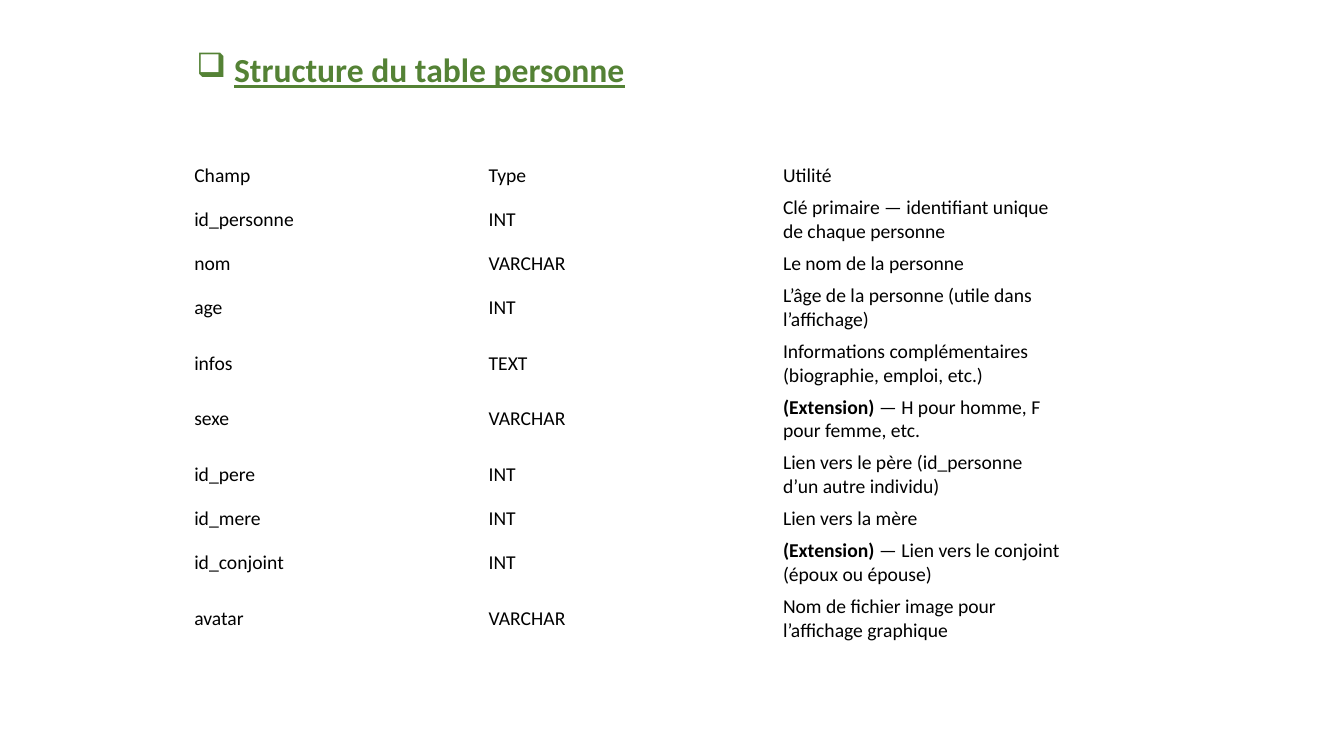
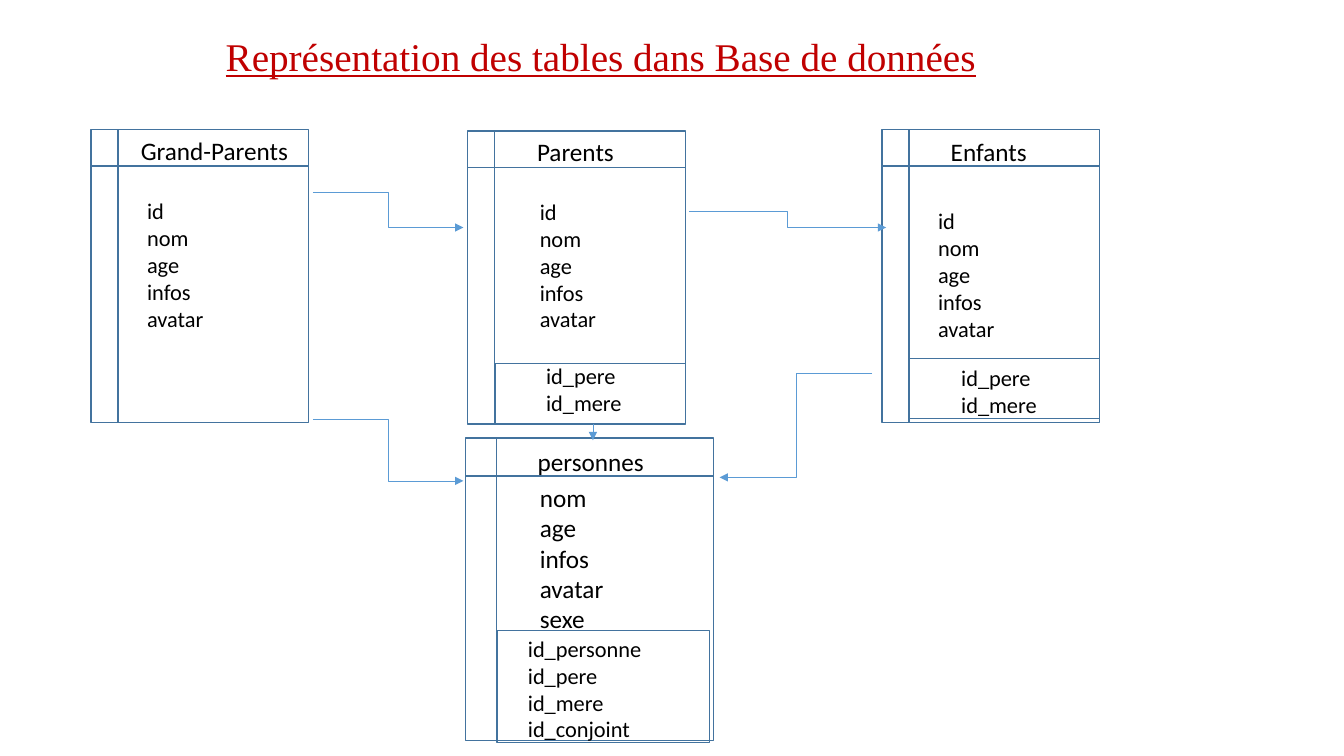
from dataclasses import dataclass
from pptx import Presentation
from pptx.util import Pt
from pptx.dml.color import RGBColor
from pptx.enum import shapes as sh, text as tx
from pptx.oxml import ns, xmlchemy as xc


@dataclass(frozen=True)
class Theme:
    ink: str = "000000"
    green: str = "548235"
    red: str = "C00000"
    edge: str = "43739E"
    link: str = "5B9BD5"
    sans: str = "Calibri"
    serif: str = "Times New Roman"
    cell: int = 14
    field: int = 16
    name: int = 18
    head: int = 24
    top: int = 28


T = Theme()


class Deck:
    def __init__(self):
        self.prs = Presentation()
        self.prs.slide_width, self.prs.slide_height = Pt(960), Pt(540)
        self.slide = None

    def page(self):
        self.slide = self.prs.slides.add_slide(self.prs.slide_layouts[5])

    def style(self, para, size, color=T.ink, face=T.sans, bold=False, under=False):
        for run in para.runs:
            font = run.font
            font.size, font.name = Pt(size), face
            font.bold, font.underline = bold, under
            font.color.rgb = RGBColor.from_string(color)

    def title(self, words, box, size, color, face=T.sans, bold=False, mark=None):
        shape = self.slide.shapes.title
        shape.left, shape.top, shape.width, shape.height = map(Pt, box)
        frame = shape.text_frame
        frame.text = words
        frame.auto_size = tx.MSO_AUTO_SIZE.NONE
        frame.vertical_anchor = tx.MSO_ANCHOR.TOP
        para = frame.paragraphs[0]
        para.alignment = tx.PP_ALIGN.LEFT
        self.style(para, size, color, face, bold, under=True)
        if mark:
            props = para._p.get_or_add_pPr()
            props.set("marL", str(Pt(27)))
            props.set("indent", str(Pt(-27)))
            sign = xc.OxmlElement("a:buChar")
            sign.set("char", mark)
            props.append(sign)

    def text(self, words, x, y, w, h, size):
        frame = self.slide.shapes.add_textbox(Pt(x), Pt(y), Pt(w), Pt(h)).text_frame
        frame.word_wrap = True
        frame.text = words
        for para in frame.paragraphs:
            self.style(para, size)

    def frame(self, kind, x, y, w, h):
        shape = self.slide.shapes.add_shape(kind, Pt(x), Pt(y), Pt(w), Pt(h))
        shape.shadow.inherit = False
        shape.fill.background()
        shape.line.color.rgb = RGBColor.from_string(T.edge)
        shape.line.width = Pt(1)

    def arrow(self, kind, start, end):
        line = self.slide.shapes.add_connector(kind, *map(Pt, start + end))
        line.line.color.rgb = RGBColor.from_string(T.link)
        line.line.width = Pt(0.5)
        tip = xc.OxmlElement("a:tailEnd")
        tip.set("type", "triangle")
        line.line._get_or_add_ln().append(tip)
        line._element.find(ns.qn("p:spPr")).append(xc.OxmlElement("a:effectLst"))

    def table(self, rows, x, y, wide, low, high):
        """Rows with a wrapped last cell are high, the others low."""
        heights = [high if len(row[-1]) > 25 else low for row in rows]
        table = self.slide.shapes.add_table(
            len(rows), len(rows[0]), Pt(x), Pt(y),
            Pt(wide * len(rows[0])), Pt(sum(heights))).table
        table.first_row = table.horz_banding = False
        for col in table.columns:
            col.width = Pt(wide)
        for line, row, height in zip(table.rows, rows, heights):
            line.height = Pt(height)
            for cell, words in zip(line.cells, row):
                self.fill(cell, words)

    def fill(self, cell, words):
        """Put words in a cell; a part before a bar is bold."""
        cell.fill.background()
        cell.vertical_anchor = tx.MSO_ANCHOR.MIDDLE
        cell.margin_left = cell.margin_right = Pt(5.76)
        cell.margin_top = cell.margin_bottom = Pt(2.88)
        para = cell.text_frame.paragraphs[0]
        parts = words.split("|")
        for part in parts:
            para.add_run().text = part
        self.style(para, T.cell)
        para.runs[0].font.bold = len(parts) > 1

    def card(self, box, name, fields, keys=None):
        """An entity: frame, name, fields and an optional key box."""
        self.frame(sh.MSO_SHAPE.FLOWCHART_INTERNAL_STORAGE, *box)
        self.text(*name, 29, T.name)
        self.text(*fields)
        if keys:
            area, label = keys
            self.frame(sh.MSO_SHAPE.RECTANGLE, *area)
            self.text(*label, T.field)


ROWS = [
    ("Champ", "Type", "Utilité"),
    ("id_personne", "INT", "Clé primaire — identifiant unique de chaque personne"),
    ("nom", "VARCHAR", "Le nom de la personne"),
    ("age", "INT", "L’âge de la personne (utile dans l’affichage)"),
    ("infos", "TEXT", "Informations complémentaires (biographie, emploi, etc.)"),
    ("sexe", "VARCHAR", "(Extension)| — H pour homme, F pour femme, etc."),
    ("id_pere", "INT", "Lien vers le père (id_personne d’un autre individu)"),
    ("id_mere", "INT", "Lien vers la mère"),
    ("id_conjoint", "INT", "(Extension)| — Lien vers le conjoint (époux ou épouse)"),
    ("avatar", "VARCHAR", "Nom de fichier image pour l’affichage graphique"),
]
BASE = "nom\nage\ninfos\navatar"
FIELDS = "id\n" + BASE
KIN = "id_pere\nid_mere"


def main():
    deck = Deck()

    # Table structure
    deck.page()
    deck.title("Structure du table personne", (133, 31.5, 325, 36),
               T.head, T.green, bold=True, mark="❑")
    deck.table(ROWS, 133, 114.5, 210.3, 22.2, 39.7)

    # Entity diagram
    deck.page()
    deck.title("Représentation des tables dans Base de données",
               (154, 19.5, 556, 41), T.top, T.red, T.serif)
    size = (155.5, 209.5)
    deck.card((65, 92.5, *size), ("Grand-Parents", 93.5, 93, 122),
              (FIELDS, 98, 137.5, 89, 104, T.field))
    deck.card((334, 93.5, *size), ("Parents", 376.5, 94, 70),
              (FIELDS, 378.5, 138, 89, 104, T.field),
              ((353.5, 259.5, 136, 43), (KIN, 383, 255, 76, 46)))
    deck.card((630, 92.5, *size), ("Enfants", 672, 94, 70),
              (FIELDS, 663, 144.5, 89, 106, T.field),
              ((649.5, 256, 136, 43), (KIN, 679.5, 256.5, 76, 46)))
    deck.card((332.5, 313, 177, 216), ("personnes", 377, 315, 92),
              (BASE + "\nsexe", 378.5, 341, 62, 117, T.name),
              ((355, 450.5, 152, 80),
               ("id_personne\n" + KIN + "\nid_conjoint", 370, 450, 122, 85)))

    # Links between entities
    elbow, plain = sh.MSO_CONNECTOR.ELBOW, sh.MSO_CONNECTOR.STRAIGHT
    for kind, start, end in [
        (elbow, (223.5, 137.5), (331, 162.5)),
        (elbow, (492.5, 151), (633, 162.5)),
        (elbow, (223.5, 299.5), (331, 343.5)),
        (elbow, (623, 266.5), (514, 341)),
        (plain, (423.5, 303), (423.5, 314.5)),
    ]:
        deck.arrow(kind, start, end)

    deck.prs.save("out.pptx")


if __name__ == "__main__":
    main()
